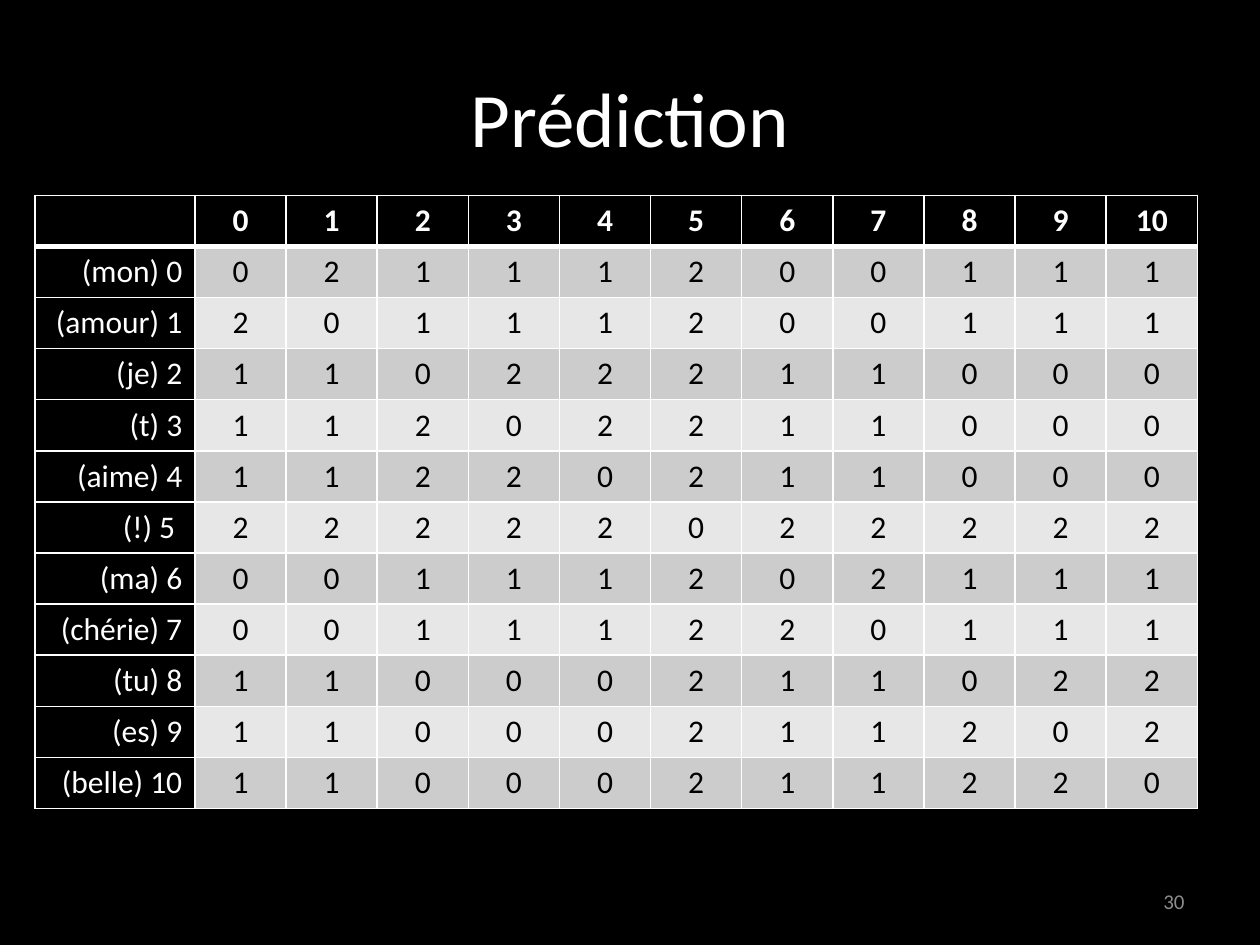
import pptx
import pptx.util
import pptx.dml.color
import pptx.enum.text
import pptx.oxml.ns
from lxml import etree

Pt = pptx.util.Pt
RGBColor = pptx.dml.color.RGBColor
ALIGN = pptx.enum.text.PP_ALIGN
MIDDLE = pptx.enum.text.MSO_ANCHOR.MIDDLE

# Content
TITLE = "Prédiction"
PAGE_NUMBER = "30"
WORD_LABELS = [
    "(mon) 0", "(amour) 1", "(je) 2", "(t) 3", "(aime) 4", "(!) 5 ",
    "(ma) 6", "(chérie) 7", "(tu) 8", "(es) 9", "(belle) 10",
]
PREDICTIONS = [
    (0, 2, 1, 1, 1, 2, 0, 0, 1, 1, 1),
    (2, 0, 1, 1, 1, 2, 0, 0, 1, 1, 1),
    (1, 1, 0, 2, 2, 2, 1, 1, 0, 0, 0),
    (1, 1, 2, 0, 2, 2, 1, 1, 0, 0, 0),
    (1, 1, 2, 2, 0, 2, 1, 1, 0, 0, 0),
    (2, 2, 2, 2, 2, 0, 2, 2, 2, 2, 2),
    (0, 0, 1, 1, 1, 2, 0, 2, 1, 1, 1),
    (0, 0, 1, 1, 1, 2, 2, 0, 1, 1, 1),
    (1, 1, 0, 0, 0, 2, 1, 1, 0, 2, 2),
    (1, 1, 0, 0, 0, 2, 1, 1, 2, 0, 2),
    (1, 1, 0, 0, 0, 2, 1, 1, 2, 2, 0),
]

# Style
FONT = "Calibri"
BLACK = RGBColor(0x00, 0x00, 0x00)
WHITE = RGBColor(0xFF, 0xFF, 0xFF)
GRAY = RGBColor(0x8C, 0x8C, 0x8C)
BANDS = (RGBColor(0xCC, 0xCC, 0xCC), RGBColor(0xE7, 0xE7, 0xE7))
LABEL_WIDTH, VALUE_WIDTH, ROW_HEIGHT = 91.4, 52.1, 29.22


def write(frame, text, size, color, align, bold=False):
    frame.word_wrap = True
    para = frame.paragraphs[0]
    para.text = text
    para.alignment = align
    font = para.font
    font.name, font.size, font.bold = FONT, Pt(size), bold
    font.color.rgb = color


def add_borders(cell, top, bottom):
    properties = cell._tc.get_or_add_tcPr()
    for side, width in (("L", 1), ("R", 1), ("T", top), ("B", bottom)):
        line = etree.SubElement(properties, pptx.oxml.ns.qn(f"a:ln{side}"), w=str(Pt(width)))
        fill = etree.SubElement(line, pptx.oxml.ns.qn("a:solidFill"))
        etree.SubElement(fill, pptx.oxml.ns.qn("a:srgbClr"), val=str(WHITE))


def add_prediction_table(page):
    header = [""] + [str(number) for number in range(len(WORD_LABELS))]
    rows = [header] + [[label, *map(str, values)]
                       for label, values in zip(WORD_LABELS, PREDICTIONS)]
    widths = [LABEL_WIDTH] + [VALUE_WIDTH] * len(WORD_LABELS)
    table = page.shapes.add_table(
        len(rows), len(widths), Pt(20), Pt(111.6),
        Pt(sum(widths)), Pt(ROW_HEIGHT * len(rows))).table
    for column, width in zip(table.columns, widths):
        column.width = Pt(width)
    for r, texts in enumerate(rows):
        table.rows[r].height = Pt(ROW_HEIGHT)
        for c, text in enumerate(texts):
            cell = table.cell(r, c)
            # The rule under the header is heavier than the grid
            add_borders(cell, top=3 if r == 1 else 1, bottom=3 if r == 0 else 1)
            dark = r == 0 or c == 0
            cell.fill.solid()
            cell.fill.fore_color.rgb = BLACK if dark else BANDS[(r - 1) % 2]
            cell.vertical_anchor = MIDDLE
            write(cell.text_frame, text, 18, WHITE if dark else BLACK,
                  ALIGN.RIGHT if c == 0 else ALIGN.CENTER, bold=r == 0)


def main():
    deck = pptx.Presentation()
    deck.slide_width, deck.slide_height = Pt(720), Pt(540)
    page = deck.slides.add_slide(deck.slide_layouts[5])
    page.background.fill.solid()
    page.background.fill.fore_color.rgb = BLACK

    # Title
    title = page.shapes.title
    title.left, title.top, title.width, title.height = Pt(36), Pt(21.6), Pt(648), Pt(90)
    title.text_frame.vertical_anchor = MIDDLE
    write(title.text_frame, TITLE, 44, WHITE, ALIGN.CENTER)

    # Page number
    box = page.shapes.add_textbox(Pt(516), Pt(500.5), Pt(168), Pt(28.75))
    box.text_frame.vertical_anchor = MIDDLE
    write(box.text_frame, PAGE_NUMBER, 12, GRAY, ALIGN.RIGHT)

    # Prediction matrix
    add_prediction_table(page)
    deck.save("out.pptx")


if __name__ == "__main__":
    main()
